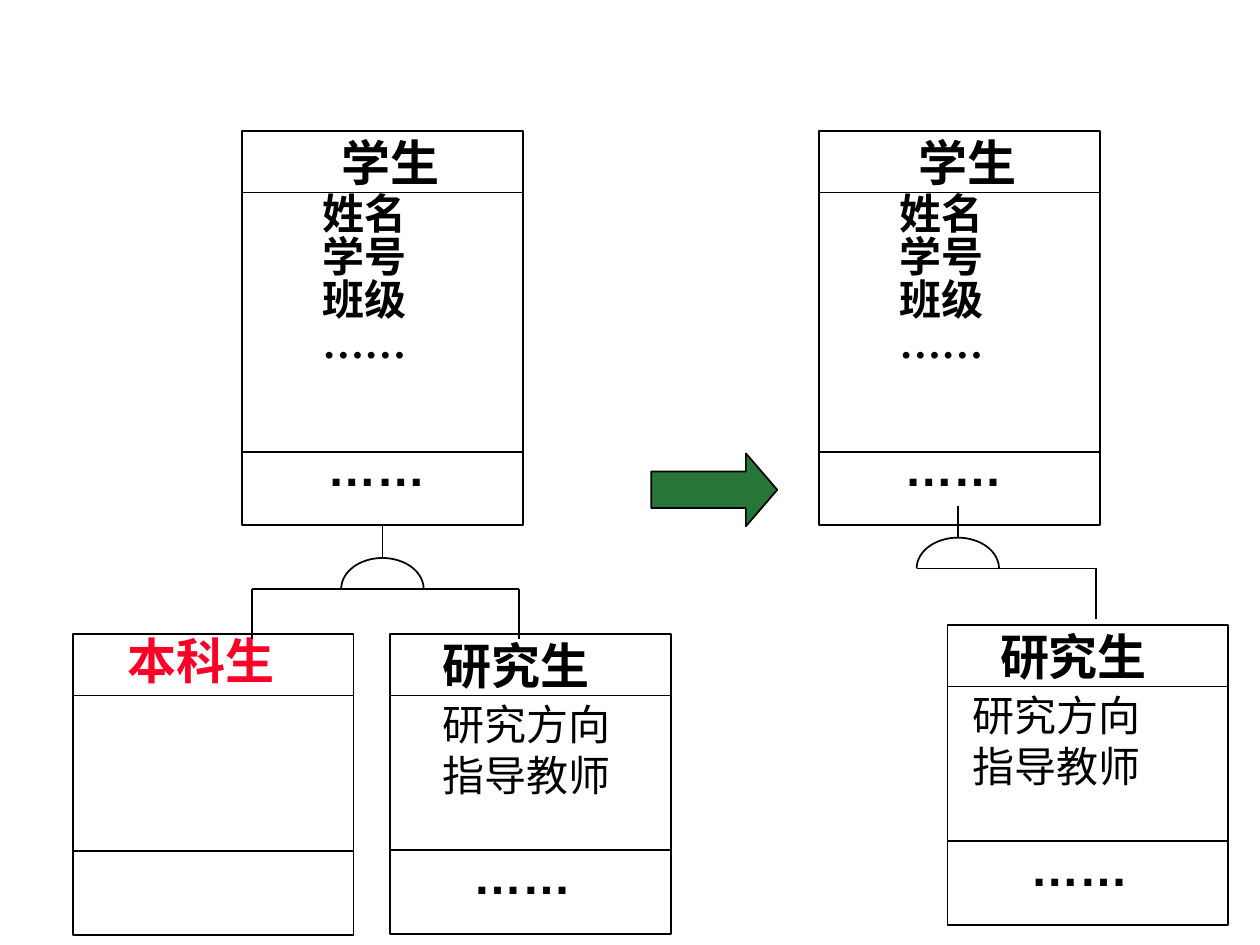
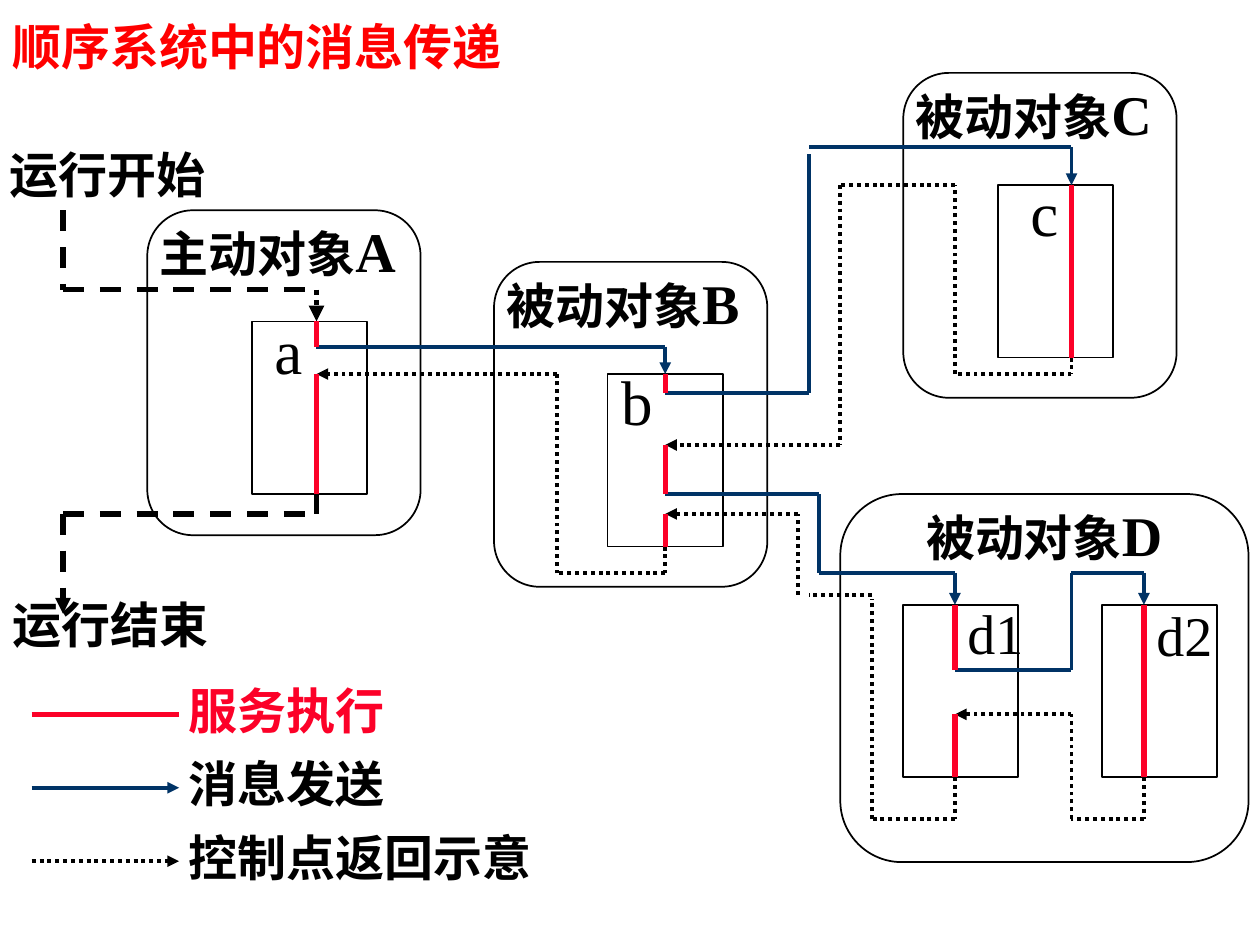
from itertools import pairwise
from math import cos, pi, sin

from lxml.etree import SubElement
from pptx import Presentation
from pptx.dml.color import RGBColor
from pptx.enum.dml import MSO_LINE as Dash
from pptx.enum.shapes import MSO_CONNECTOR as Connector
from pptx.enum.shapes import MSO_SHAPE as Shape
from pptx.enum.shapes import MSO_SHAPE_TYPE as ShapeType
from pptx.enum.text import MSO_AUTO_SIZE as AutoSize
from pptx.oxml.ns import qn
from pptx.util import Cm, Pt

COLORS = {
    "black": "000000",
    "title": "FF0000",
    "red": "FC0128",
    "navy": "003366",
    "green": "287637",
}
CHINESE, SANS, SERIF = "Noto Sans CJK SC", "Arial", "Times New Roman"


def add_text(slide, left, top, width, height, paragraphs, color="black",
             bold=True, wrap=True, grow=True, spacing=None):
    box = slide.shapes.add_textbox(Cm(left), Cm(top), Cm(width), Cm(height))
    frame = box.text_frame
    frame.word_wrap = wrap
    frame.auto_size = AutoSize.SHAPE_TO_FIT_TEXT if grow else AutoSize.NONE
    for index, runs in enumerate(paragraphs):
        paragraph = frame.add_paragraph() if index else frame.paragraphs[0]
        if spacing:
            paragraph.line_spacing = spacing
        for text, font, size in runs:
            run = paragraph.add_run()
            run.text = text
            run.font.name = font
            run.font.size = Pt(size)
            run.font.bold = bold
            run.font.color.rgb = RGBColor.from_string(COLORS[color])
            east_asian = SubElement(run.font._element, qn("a:ea"))
            east_asian.set("typeface", font if "…" in text else CHINESE)


def add_line(slide, start, end, color="black", width=1, dash=None, arrow=False):
    connector = slide.shapes.add_connector(
        Connector.STRAIGHT, *(Cm(value) for value in (*start, *end)))
    connector.line.color.rgb = RGBColor.from_string(COLORS[color])
    connector.line.width = Pt(width)
    if dash:
        connector.line.dash_style = dash
    properties = connector._element.spPr
    if arrow:
        SubElement(properties.find(qn("a:ln")), qn("a:tailEnd"), type="triangle")
    SubElement(properties, qn("a:effectLst"))
    return connector


presentation = Presentation()
presentation.slide_width = Cm(25.4)
presentation.slide_height = Cm(19.05)
blank = presentation.slide_layouts[6]

class_slide = presentation.slides.add_slide(blank)
CLASS_WIDTH, NAME_HEIGHT = 5.66, 1.24
student_attributes = [[(text, CHINESE, 24)] for text in ("姓名", "学号", "班级")]
student_attributes.append([("……", SERIF, 24)])
graduate_attributes = [[(text, CHINESE, 24)] for text in ("研究方向", "指导教师")]
student = {
    "name": "学生", "height": 7.95, "operations": 1.47, "name_at": (1.75, -0.1),
    "attributes": student_attributes, "attribute_size": (3.58, 3.71),
    "attribute_style": {"spacing": 0.85}, "dots_left": 1.47,
}
graduate = {
    "name": "研究生", "height": 6.05, "operations": 1.69, "name_at": (0.81, -0.1),
    "attributes": graduate_attributes, "attribute_size": (3.89, 2.29),
    "attribute_style": {"bold": False, "wrap": False}, "dots_left": 1.42,
}
undergraduate = {
    "name": "本科生", "height": 6.07, "operations": 1.7, "name_at": (0.86, -0.2),
    "color": "red", "attributes": None,
}
class_boxes = []
for kind, left, top, attribute_left in (
    (student, 4.88, 2.64, 1.37),
    (student, 16.51, 2.64, 1.37),
    (undergraduate, 1.47, 12.78, 0),
    (graduate, 7.87, 12.78, 0.81),
    (graduate, 19.1, 12.6, 0.25),
):
    height = kind["height"]
    class_boxes.append(class_slide.shapes.add_shape(
        Shape.RECTANGLE, Cm(left), Cm(top), Cm(CLASS_WIDTH), Cm(height)))
    for divider in (top + NAME_HEIGHT, top + height - kind["operations"]):
        add_line(class_slide, (left, divider), (left + CLASS_WIDTH, divider))
    name_left, name_top = kind["name_at"]
    add_text(class_slide, left + name_left, top + name_top, 4.14, 1.42,
             [[(kind["name"], CHINESE, 28)]], kind.get("color", "black"))
    if kind["attributes"]:
        add_text(class_slide, left + attribute_left, top + 1.18,
                 *kind["attribute_size"], kind["attributes"],
                 **kind["attribute_style"])
        add_text(class_slide, left + kind["dots_left"], top + height - 1.9,
                 2.49, 1.45, [[("……", SANS, 28)]], wrap=False)

GATE_RADIUS, GATE_HEIGHT, STEM, DROP = 0.83, 0.62, 0.64, 1.02
for center, base, base_left, base_right, drops, parent in (
    (7.71, 11.87, 5.08, 10.46, (5.08, 10.46), class_boxes[0]),
    (19.31, 11.46, 18.49, 22.1, (22.1,), None),
):
    gate_top = base - GATE_HEIGHT
    stem = add_line(class_slide, (center, gate_top - STEM), (center, gate_top))
    if parent:
        stem.begin_connect(parent, 2)
    add_line(class_slide, (base_left, base), (base_right, base))
    for drop in drops:
        add_line(class_slide, (drop, base), (drop, base + DROP))
    for side in (-1, 1):
        arc = [(Cm(center + side * GATE_RADIUS * cos(step * pi / 32)),
                Cm(base - GATE_HEIGHT * sin(step * pi / 32)))
               for step in range(17)]
        builder = class_slide.shapes.build_freeform(*arc[0])
        builder.add_line_segments(arc[1:], close=False)
        builder.convert_to_shape()

block_arrow = class_slide.shapes.add_shape(
    Shape.RIGHT_ARROW, Cm(13.13), Cm(9.14), Cm(2.54), Cm(1.47))
block_arrow.adjustments[0] = 0.5
block_arrow.adjustments[1] = 0.43

message_slide = presentation.slides.add_slide(blank)
add_text(message_slide, 0, 0.2, 25.2, 18.62,
         [[("顺序系统中的消息传递", CHINESE, 28)]], "title", grow=False)

for role, letter, left, top, width, height, title_left in (
    ("主动对象", "A", 2.97, 4.24, 5.51, 6.55, 2.97),
    ("被动对象", "B", 9.96, 5.28, 5.51, 6.55, 9.96),
    ("被动对象", "C", 18.21, 1.47, 5.51, 6.55, 18.21),
    ("被动对象", "D", 16.94, 9.96, 8.23, 7.42, 18.42),
):
    capsule = message_slide.shapes.add_shape(
        Shape.ROUNDED_RECTANGLE, Cm(left), Cm(top), Cm(width), Cm(height))
    capsule.adjustments[0] = 0.167
    add_text(message_slide, title_left, top, 5.69, 1.6,
             [[(role, CHINESE, 28), (letter, SERIF, 32)]])

TASK_WIDTH, TASK_HEIGHT = 2.32, 3.48
joints = {}
for name, left, top, name_left, name_top, name_width, size in (
    ("a", 5.08, 6.48, 5.28, 6.15, 1.07, 36),
    ("b", 12.25, 7.54, 12.27, 7.19, 1.14, 36),
    ("c", 20.12, 3.73, 20.52, 3.38, 1.07, 36),
    ("d1", 18.21, 12.19, 19.25, 11.94, 1.65, 32),
    ("d2", 22.22, 12.19, 23.06, 11.99, 1.65, 32),
):
    task = message_slide.shapes.add_shape(
        Shape.RECTANGLE, Cm(left), Cm(top), Cm(TASK_WIDTH), Cm(TASK_HEIGHT))
    middle = round(left + TASK_WIDTH / 2, 2)
    joints[middle, top] = task, 0
    joints[middle, round(top + TASK_HEIGHT, 2)] = task, 2
    add_text(message_slide, name_left, name_top, name_width, 1.7,
             [[(name, SERIF, size)]], bold=False, wrap=False)

run_style = ("black", 3, Dash.DASH)
entry_style = ("black", 3, Dash.ROUND_DOT)
service_style = ("red", 3, None)
message_style = ("navy", 2.25, None)
return_style = ("black", 2.25, Dash.ROUND_DOT)
A, B, C, D1, D2 = 6.38, 13.41, 21.6, 19.25, 23.06
routes = [
    (run_style, False, [(1.27, 4.24), (1.27, 5.84), (A, 5.84)]),
    (entry_style, True, [(A, 5.84), (A, 6.48)]),
    (run_style, False, [(1.27, 10.36), (A, 10.36), (A, 9.96)]),
    (run_style, True, [(1.27, 10.36), (1.27, 12.37)]),
    (message_style, True, [(A, 6.99), (B, 6.99), (B, 7.54)]),
    (message_style, False, [(B, 7.92), (16.31, 7.92), (16.31, 3.1)]),
    (message_style, True, [(16.31, 2.97), (C, 2.97), (C, 3.73)]),
    (message_style, True,
     [(B, 9.96), (16.51, 9.96), (16.51, 11.56), (D1, 11.56), (D1, 12.19)]),
    (message_style, True,
     [(D1, 13.51), (C, 13.51), (C, 11.56), (D2, 11.56), (D2, 12.19)]),
    (return_style, True,
     [(C, 7.21), (C, 7.54), (D1, 7.54), (D1, 3.73), (16.94, 3.73),
      (16.94, 8.97), (B, 8.97)]),
    (return_style, True,
     [(D2, 15.67), (D2, 16.51), (C, 16.51), (C, 14.4), (D1, 14.4)]),
    (return_style, False,
     [(D1, 15.67), (D1, 16.51), (17.58, 16.51), (17.58, 12.07)]),
    (return_style, False, [(17.58, 11.99), (16.31, 11.99)]),
    (return_style, True, [(16.08, 11.99), (16.08, 10.36), (B, 10.36)]),
    (return_style, True,
     [(B, 11.02), (B, 11.56), (11.23, 11.56), (11.23, 7.54), (A, 7.54)]),
]
for x, top, bottom in (
    (A, 6.48, 6.99), (A, 7.54, 9.96),
    (B, 7.54, 7.92), (B, 8.97, 9.96), (B, 10.36, 11.02),
    (C, 3.73, 7.21),
    (D1, 12.19, 13.51), (D1, 14.4, 15.67),
    (D2, 12.19, 15.67),
):
    routes.append((service_style, False, [(x, top), (x, bottom)]))

for style, has_arrow, points in routes:
    for start, end in pairwise(points):
        line = add_line(message_slide, start, end, *style,
                        arrow=has_arrow and end == points[-1])
        if start in joints:
            line.begin_connect(*joints[start])
        if end in joints:
            line.end_connect(*joints[end])

for text, left, top in (("运行开始", -0.05, 2.79), ("运行结束", 0, 11.86)):
    add_text(message_slide, left, top, 6.2, 1.45, [[(text, SANS, 28)]])

for row, (text, style, has_arrow, color) in enumerate((
    ("服务执行", service_style, False, "red"),
    ("消息发送", message_style, True, "black"),
    ("控制点返回示意", return_style, True, "black"),
)):
    y = 14.4 + row * 1.48
    add_line(message_slide, (0.64, y), (3.61, y), *style, arrow=has_arrow)
    add_text(message_slide, 3.56, y - 0.81, 8.89, 1.45, [[(text, SANS, 28)]], color)

for slide in presentation.slides:
    for shape in slide.shapes:
        if shape.shape_type in (ShapeType.AUTO_SHAPE, ShapeType.FREEFORM):
            shape.shadow.inherit = False
            shape.fill.background()
            shape.line.color.rgb = RGBColor.from_string(COLORS["black"])
            shape.line.width = Pt(1)
block_arrow.fill.solid()
block_arrow.fill.fore_color.rgb = RGBColor.from_string(COLORS["green"])

presentation.save("out.pptx")
